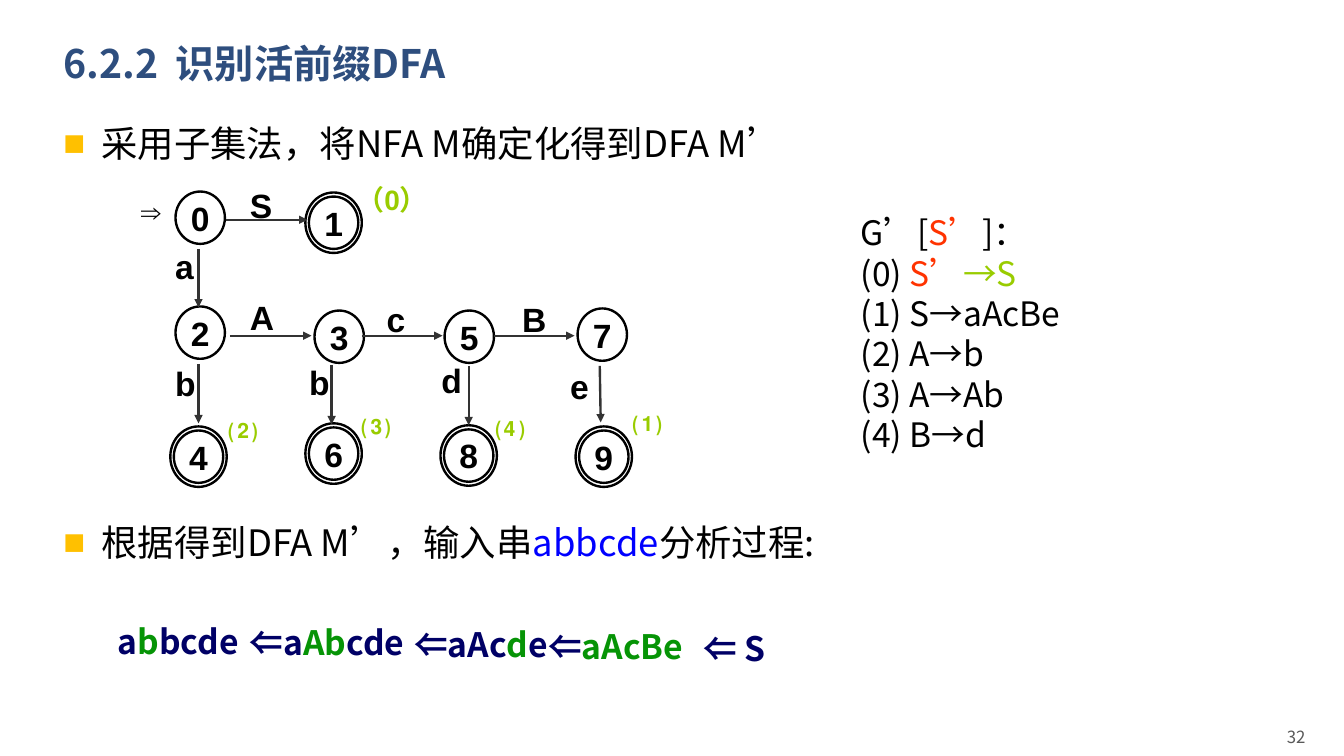
"""Build the slide on the DFA that recognises viable prefixes."""
from typing import NamedTuple

from lxml.etree import SubElement
from pptx import Presentation
from pptx.dml.color import RGBColor
from pptx.enum.shapes import MSO_CONNECTOR, MSO_SHAPE
from pptx.enum.text import MSO_ANCHOR, PP_ALIGN
from pptx.oxml.ns import qn
from pptx.util import Pt

COLORS = {
    "black": "000000", "white": "FFFFFF", "title": "2E4E7E", "bullet": "FFC000",
    "number": "595959", "arrow": "333333", "mark": "99CC00", "red": "FF3300",
    "blue": "0000FF", "navy": "000066", "handle": "069406",
}
BODY_FONT = "Noto Sans CJK SC"
GRAPH_FONT = "Arial"
LINE_WIDTH = 1.7
LABEL_HEIGHT = 37.4


class Run(NamedTuple):
    text: str
    color: str = "black"
    spacing: float = 0


class State(NamedTuple):
    label: str
    x: float
    y: float
    accepting: bool = False


class Transition(NamedTuple):
    symbol: str
    start: tuple[float, float]
    end: tuple[float, float]
    label_at: tuple[float, float]


class Mark(NamedTuple):
    text: str
    left: float
    top: float
    width: float = 40.3


class Step(NamedTuple):
    left: float
    top: float
    width: float
    runs: list[Run]


STATES = [
    State("0", 143, 155.5), State("1", 238.3, 159.1, True),
    State("2", 143, 237.6), State("3", 242.3, 240.5),
    State("5", 335.2, 240.5), State("7", 430.2, 239),
    State("4", 141.8, 326.2, True), State("6", 238.3, 324, True),
    State("8", 334.8, 325.4, True), State("9", 431.3, 326.2, True),
]
TRANSITIONS = [
    Transition("S", (161.3, 157), (219.6, 157), (171.4, 128.2)),
    Transition("a", (141.8, 177.8), (141.8, 219.6), (118.1, 172.1)),
    Transition("A", (164.2, 239.8), (222.5, 239.8), (171.4, 208.8)),
    Transition("c", (258.5, 239.8), (316.1, 239.8), (269.1, 210.2)),
    Transition("B", (352.8, 239.8), (410.4, 239.8), (365.8, 210.2)),
    Transition("b", (141.8, 259.9), (141.8, 302.4), (118.1, 255.6)),
    Transition("b", (236.9, 260.6), (236.9, 303.1), (213.8, 254.9)),
    Transition("d", (334.8, 261.4), (334.8, 303.8), (308.2, 253.4)),
    Transition("e", (428.4, 261.4), (429.1, 301.7), (400.2, 257.8)),
]
MARKS = [
    Mark("（0）", 241.2, 126.7, 77.8), Mark("⑴", 442.1, 284.4),
    Mark("⑶", 248.4, 286.6), Mark("⑵", 153.4, 289.4), Mark("⑷", 344.2, 288),
]
GRAMMAR = [
    [Run("G’["), Run("S’", "red"), Run("]：")],
    [Run("(0) "), Run("S’", "red"), Run("→S", "mark")],
    [Run("(1) S→aAcBe")], [Run("(2) A→b")], [Run("(3) A→Ab")], [Run("(4) B→d")],
]
STEPS = [
    Step(77, 440.3, 108, [Run("a", "navy"), Run("b", "handle"), Run("bcde", "navy")]),
    Step(171.4, 441, 161, [Run("⇐a", "navy"), Run("Ab", "handle"), Run("cde", "navy")]),
    Step(288.7, 442.4, 134, [Run("⇐aAc", "navy"), Run("d", "handle"), Run("e", "navy")]),
    Step(384.5, 443.2, 122, [Run("⇐", "navy"), Run("aAcBe", "handle")]),
    Step(495.4, 445.3, 106, [Run("⇐ S", "navy")]),
]
BULLETS = [
    (82.7, [Run("采用子集法，将NFA M确定化得到DFA M’")]),
    (367.7, [Run("根据得到DFA M’，输入串"), Run("abbcde", "blue"), Run("分析过程:")]),
]


def rgb(name: str) -> RGBColor:
    return RGBColor.from_string(COLORS[name])


def write(shape, paragraphs: list[list[Run]], *, size: float, font: str = BODY_FONT,
          bold: bool = False, align=PP_ALIGN.LEFT, bullet: bool = False) -> None:
    frame = shape.text_frame
    frame.word_wrap = True
    for index, runs in enumerate(paragraphs):
        paragraph = frame.add_paragraph() if index else frame.paragraphs[0]
        if bullet:
            add_bullet(paragraph)
        paragraph.alignment = align
        if font == BODY_FONT:
            paragraph.line_spacing = Pt(1.2 * size)
        for item in runs:
            run = paragraph.add_run()
            run.text = item.text
            run.font.size = Pt(size)
            run.font.bold = bold
            run.font.name = font
            run.font.color.rgb = rgb(item.color)
            properties = run._r.get_or_add_rPr()
            SubElement(properties, qn("a:ea"), typeface=font)
            if item.spacing:
                properties.set("spc", str(round(item.spacing * 100)))


def add_bullet(paragraph) -> None:
    properties = paragraph._p.get_or_add_pPr()
    properties.set("marL", str(Pt(27)))
    properties.set("indent", str(-Pt(27)))
    color = SubElement(properties, qn("a:buClr"))
    SubElement(color, qn("a:srgbClr"), val=COLORS["bullet"])
    SubElement(properties, qn("a:buFont"), typeface=GRAPH_FONT)
    SubElement(properties, qn("a:buChar"), char="■")


def add_box(slide, left: float, top: float, width: float, height: float):
    return slide.shapes.add_textbox(Pt(left), Pt(top), Pt(width), Pt(height))


def add_circle(slide, state: State, width: float, height: float, fill: bool):
    shape = slide.shapes.add_shape(
        MSO_SHAPE.OVAL, Pt(state.x - width / 2), Pt(state.y - height / 2),
        Pt(width), Pt(height))
    shape.shadow.inherit = False
    if fill:
        shape.fill.solid()
        shape.fill.fore_color.rgb = rgb("white")
    else:
        shape.fill.background()
    shape.line.color.rgb = rgb("black")
    shape.line.width = Pt(LINE_WIDTH)
    return shape


def add_state(slide, state: State) -> None:
    if state.accepting:
        add_circle(slide, state, 40.3, 43.2, False)
    shape = add_circle(slide, state, 35.3, 37.4, not state.accepting)
    frame = shape.text_frame
    frame.margin_left = frame.margin_right = frame.margin_top = frame.margin_bottom = 0
    frame.vertical_anchor = MSO_ANCHOR.MIDDLE
    write(shape, [[Run(state.label)]], size=24, font=GRAPH_FONT, bold=True,
          align=PP_ALIGN.CENTER)


def add_transition(slide, transition: Transition) -> None:
    arrow = slide.shapes.add_connector(
        MSO_CONNECTOR.STRAIGHT, *map(Pt, transition.start + transition.end))
    arrow.line.color.rgb = rgb("arrow")
    arrow.line.width = Pt(LINE_WIDTH)
    SubElement(arrow.line._get_or_add_ln(), qn("a:tailEnd"), type="triangle")
    SubElement(arrow._element.spPr, qn("a:effectLst"))
    label = add_box(slide, *transition.label_at, 31.7, LABEL_HEIGHT)
    write(label, [[Run(transition.symbol)]], size=24, font=GRAPH_FONT, bold=True)


def main() -> None:
    presentation = Presentation()
    presentation.slide_width, presentation.slide_height = Pt(960), Pt(540)
    slide = presentation.slides.add_slide(presentation.slide_layouts[6])

    title = [Run("6.2.2", "title"), Run(" ", "title", 6.3), Run("识别活前缀DFA", "title")]
    write(add_box(slide, 38.2, 24.5, 828, 42), [title], size=28, bold=True)
    for top, runs in BULLETS:
        write(add_box(slide, 38.2, top, 828, 40), [runs], size=26, bullet=True)

    for state in STATES:
        add_state(slide, state)
    for transition in TRANSITIONS:
        add_transition(slide, transition)
    write(add_box(slide, 93.6, 135.4, 42.5, 33), [[Run("⇒")]], size=20,
          font=GRAPH_FONT, bold=True)
    for mark in MARKS:
        write(add_box(slide, mark.left, mark.top, mark.width, LABEL_HEIGHT),
              [[Run(mark.text, "mark")]], size=20, font=GRAPH_FONT, bold=True,
              align=PP_ALIGN.CENTER)

    write(add_box(slide, 607.7, 148, 211, 181), GRAMMAR, size=24)
    for step in STEPS:
        write(add_box(slide, step.left, step.top, step.width, 36), [step.runs],
              size=24, bold=True)
    write(add_box(slide, 659.6, 515.5, 280, 22), [[Run("32", "number")]], size=12,
          align=PP_ALIGN.RIGHT)
    presentation.save("out.pptx")


if __name__ == "__main__":
    main()
